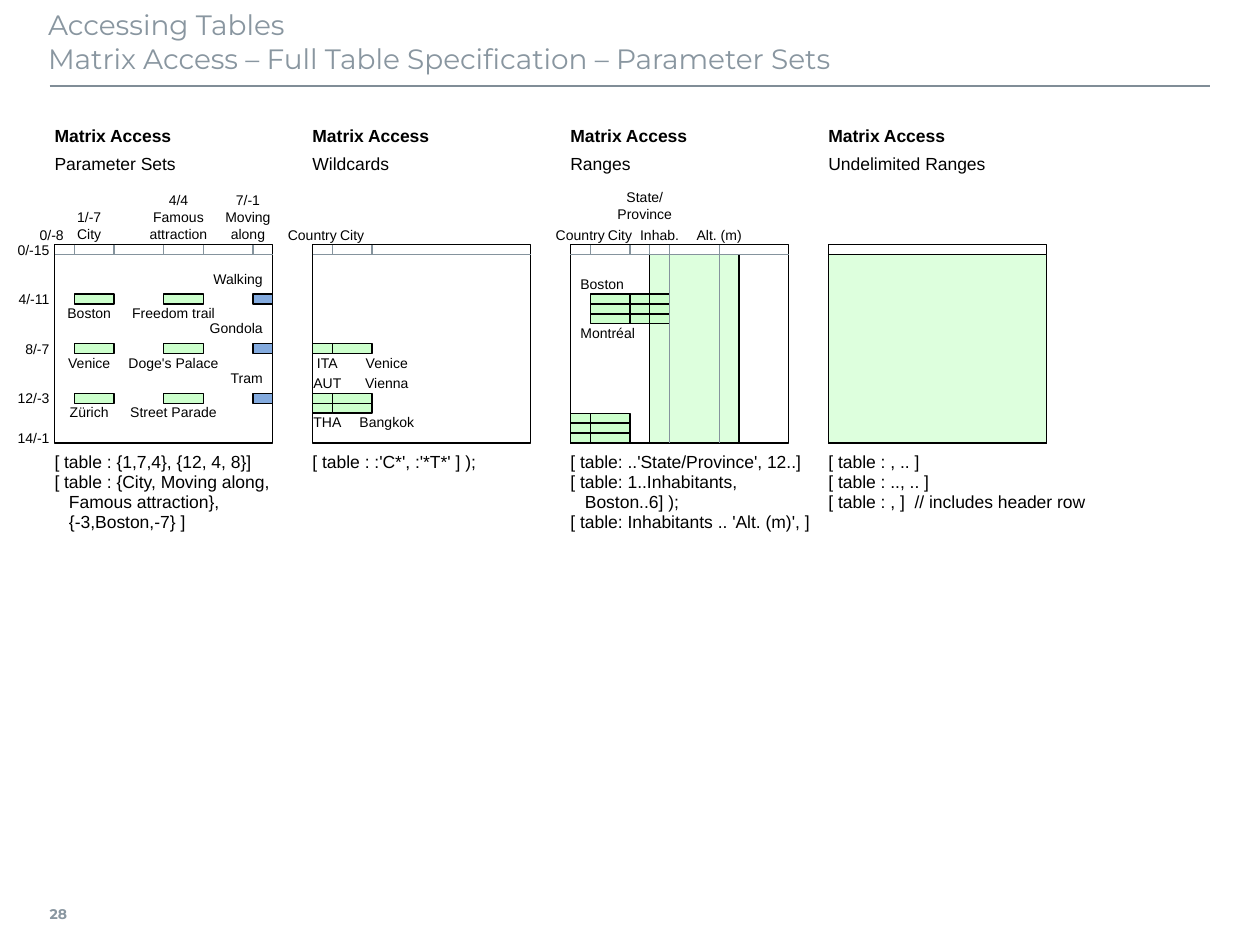
from lxml.etree import SubElement
from pptx import Presentation
from pptx.dml.color import RGBColor
from pptx.enum.shapes import MSO_CONNECTOR, MSO_SHAPE
from pptx.enum.text import MSO_ANCHOR, MSO_AUTO_SIZE, PP_ALIGN
from pptx.oxml.ns import qn
from pptx.util import Cm, Pt

UNIT = 0.2
TABLE_TOP = 4.93
TABLE_COLUMNS = 22
TABLE_ROWS = 20
PANEL_LEFTS = [1.1 + 5.2 * index for index in range(4)]

BLACK = "000000"
GREY = "85939D"
TITLE_GREY = "8996A0"
GREEN = "CCFFCC"
PALE_GREEN = "DDFFDD"
BLUE = "83AADE"

LEFT, CENTER, RIGHT = PP_ALIGN.LEFT, PP_ALIGN.CENTER, PP_ALIGN.RIGHT
TOP, MIDDLE, BOTTOM = MSO_ANCHOR.TOP, MSO_ANCHOR.MIDDLE, MSO_ANCHOR.BOTTOM


def color(value):
    return RGBColor.from_string(value)


def grid(panel, column, row):
    return Cm(PANEL_LEFTS[panel] + column * UNIT), Cm(TABLE_TOP + row * UNIT)


def set_frame(frame, anchor, insets):
    frame.auto_size = MSO_AUTO_SIZE.NONE
    frame.vertical_anchor = anchor
    frame.margin_left, frame.margin_top, frame.margin_right, frame.margin_bottom = map(Cm, insets)


def add_run(paragraph, text, size, font="Arial", fill=BLACK, bold=False):
    run = paragraph.add_run()
    run.text = text
    run.font.size = Pt(size)
    run.font.name = font
    run.font.bold = bold
    run.font.color.rgb = color(fill)


def add_label(slide, panel, column, row, width, height, lines, size=8, align=CENTER,
              anchor=MIDDLE, insets=(0, 0), spacing=None, bold=False):
    left, top = grid(panel, column, row)
    frame = slide.shapes.add_textbox(left, top, Cm(width * UNIT), Cm(height * UNIT)).text_frame
    set_frame(frame, anchor, insets * 2)
    frame.word_wrap = False
    for index, line in enumerate(lines):
        paragraph = frame.add_paragraph() if index else frame.paragraphs[0]
        paragraph.alignment = align
        if spacing:
            paragraph.line_spacing = spacing
        add_run(paragraph, line, size, bold=bold)


def add_name(slide, panel, column, row, width, text, align=CENTER, height=2):
    add_label(slide, panel, column, row, width, height, [text], align=align, spacing=0.95)


def add_axis_label(slide, panel, column, row, height, text, align=CENTER):
    add_label(slide, panel, column, row, 2, height, [text], align=align, insets=(0.1, 0.1))


def add_tall_header(slide, panel, column, row, lines):
    add_label(slide, panel, column, row, 3, 4, lines, anchor=BOTTOM, insets=(0.1, 0.05))


def add_cell(slide, panel, column, row, width, height=1, fill=GREEN):
    left, top = grid(panel, column, row)
    shape = slide.shapes.add_shape(MSO_SHAPE.RECTANGLE, left, top,
                                   Cm(width * UNIT), Cm(height * UNIT))
    shape.shadow.inherit = False
    if fill:
        shape.fill.solid()
        shape.fill.fore_color.rgb = color(fill)
    else:
        shape.fill.background()
    shape.line.color.rgb = color(BLACK)
    shape.line.width = Pt(0.75)


def add_line(slide, start, end, line_color=GREY, width=0.75):
    connector = slide.shapes.add_connector(MSO_CONNECTOR.STRAIGHT, *start, *end)
    connector.line.color.rgb = color(line_color)
    connector.line.width = Pt(width)
    SubElement(connector._element.spPr, qn("a:effectLst"))


def add_panel(slide, panel, subtitle, code, ticks):
    add_label(slide, panel, 0, -12, 15, 2, ["Matrix Access"], 10, LEFT, bold=True)
    add_label(slide, panel, 0, -9, 15, 5, [subtitle], 10, LEFT, TOP, spacing=0.9)
    add_cell(slide, panel, 0, 0, TABLE_COLUMNS, TABLE_ROWS, None)
    add_line(slide, grid(panel, 0, 1), grid(panel, TABLE_COLUMNS, 1))
    for column in ticks:
        add_line(slide, grid(panel, column, 0), grid(panel, column, 1))
    add_label(slide, panel, 0, 21, TABLE_COLUMNS, 7, code, 10, LEFT, TOP, spacing=0.95)


def add_title(slide):
    title = slide.shapes.title
    title.left, title.top, title.width, title.height = Cm(0.97), Cm(0.03), Cm(23.4), Cm(1.6)
    frame = title.text_frame
    set_frame(frame, TOP, (0, 0.13, 0.25, 0.13))
    paragraph = frame.paragraphs[0]
    paragraph.alignment = LEFT
    add_run(paragraph, "Accessing Tables", 16, "Montserrat", TITLE_GREY)
    paragraph.add_line_break()
    add_run(paragraph, "Matrix Access – Full Table Specification – Parameter Sets",
            16, "Montserrat", TITLE_GREY)
    add_line(slide, (Cm(1), Cm(1.73)), (Cm(24.4), Cm(1.73)), "808D97", 1)


def add_page_number(slide):
    frame = slide.shapes.add_textbox(Cm(1), Cm(17.93), Cm(0.9), Cm(1)).text_frame
    set_frame(frame, MIDDLE, (0, 0.13, 0.2, 0.13))
    frame.word_wrap = False
    add_run(frame.paragraphs[0], "28", 8, "Montserrat", TITLE_GREY, True)


def add_parameter_sets(slide):
    code = ["[ table : {1,7,4}, {12, 4, 8}]", "[ table : {City, Moving along,",
            "   Famous attraction},", "   {-3,Boston,-7} ]"]
    add_panel(slide, 0, "Parameter Sets", code, [2, 6, 11, 15, 20])
    add_axis_label(slide, 0, -2, -2, 2, "0/-8", LEFT)
    for row, text in [(0, "0/-15"), (5, "4/-11"), (10, "8/-7"), (15, "12/-3"), (19, "14/-1")]:
        add_axis_label(slide, 0, -2, row, 1, text, RIGHT)
    for column, lines in [(2, ["1/-7", "City"]), (11, ["4/4", "Famous", "attraction"]),
                          (18, ["7/-1", "Moving", "along"])]:
        add_tall_header(slide, 0, column, -4, lines)
    records = [(5, "Boston", "Freedom trail", "Walking"),
               (10, "Venice", "Doge's Palace", "Gondola"),
               (15, "Zürich", "Street Parade", "Tram")]
    for row, city, attraction, transport in records:
        add_cell(slide, 0, 2, row, 4)
        add_cell(slide, 0, 11, row, 4)
        add_cell(slide, 0, 20, row, 2, fill=BLUE)
        add_name(slide, 0, 1, row + 1, 5, city)
        add_name(slide, 0, 7, row + 1, 10, attraction)
        add_name(slide, 0, 16, row - 3, 5, transport, RIGHT, 3)


def add_wildcards(slide):
    add_panel(slide, 1, "Wildcards", ["[ table : :'C*', :'*T*' ] );"], [2, 6])
    for column, text in [(-1, "Country"), (3, "City")]:
        add_axis_label(slide, 1, column, -2, 2, text)
    for row in (10, 15, 16):
        add_cell(slide, 1, 0, row, 2)
        add_cell(slide, 1, 2, row, 4)
    for row, country, city in [(11, "ITA", "Venice"), (13, "AUT", "Vienna"),
                               (17, "THA", "Bangkok")]:
        add_name(slide, 1, 0, row, 3, country)
        add_name(slide, 1, 5, row, 5, city)


def add_ranges(slide):
    code = ["[ table: ..'State/Province', 12..]", "[ table: 1..Inhabitants,",
            "   Boston..6] );", "[ table: Inhabitants .. 'Alt. (m)', ]"]
    add_cell(slide, 2, 8, 1, 9, TABLE_ROWS - 1, PALE_GREEN)
    add_panel(slide, 2, "Ranges", code, [2, 6, 8, 10, 15])
    add_tall_header(slide, 2, 6, -6, ["State/", "Province"])
    for column, text in [(0, "Country"), (4, "City"), (8, "Inhab."), (14, "Alt. (m)")]:
        add_axis_label(slide, 2, column, -2, 2, text)
    blocks = [(17, [(0, 2), (2, 4)]), (5, [(2, 4), (6, 2), (8, 2)])]
    for first_row, columns in blocks:
        for row in range(first_row, first_row + 3):
            for column, width in columns:
                add_cell(slide, 2, column, row, width)
    for row, city in [(3, "Boston"), (8, "Montréal")]:
        add_name(slide, 2, 1, row, 5, city, LEFT)
    for column in (10, 15):
        add_line(slide, grid(2, column, 1), grid(2, column, TABLE_ROWS))


def add_undelimited_ranges(slide):
    code = ["[ table : , .. ]", "[ table : .., .. ]", "[ table : , ]  // includes header row"]
    add_panel(slide, 3, "Undelimited Ranges", code, [])
    add_cell(slide, 3, 0, 1, TABLE_COLUMNS, TABLE_ROWS - 1, PALE_GREEN)


def main():
    presentation = Presentation()
    presentation.slide_width, presentation.slide_height = Cm(25.4), Cm(19.05)
    slide = presentation.slides.add_slide(presentation.slide_layouts[5])
    add_title(slide)
    add_page_number(slide)
    add_parameter_sets(slide)
    add_wildcards(slide)
    add_ranges(slide)
    add_undelimited_ranges(slide)
    presentation.save("out.pptx")


if __name__ == "__main__":
    main()
